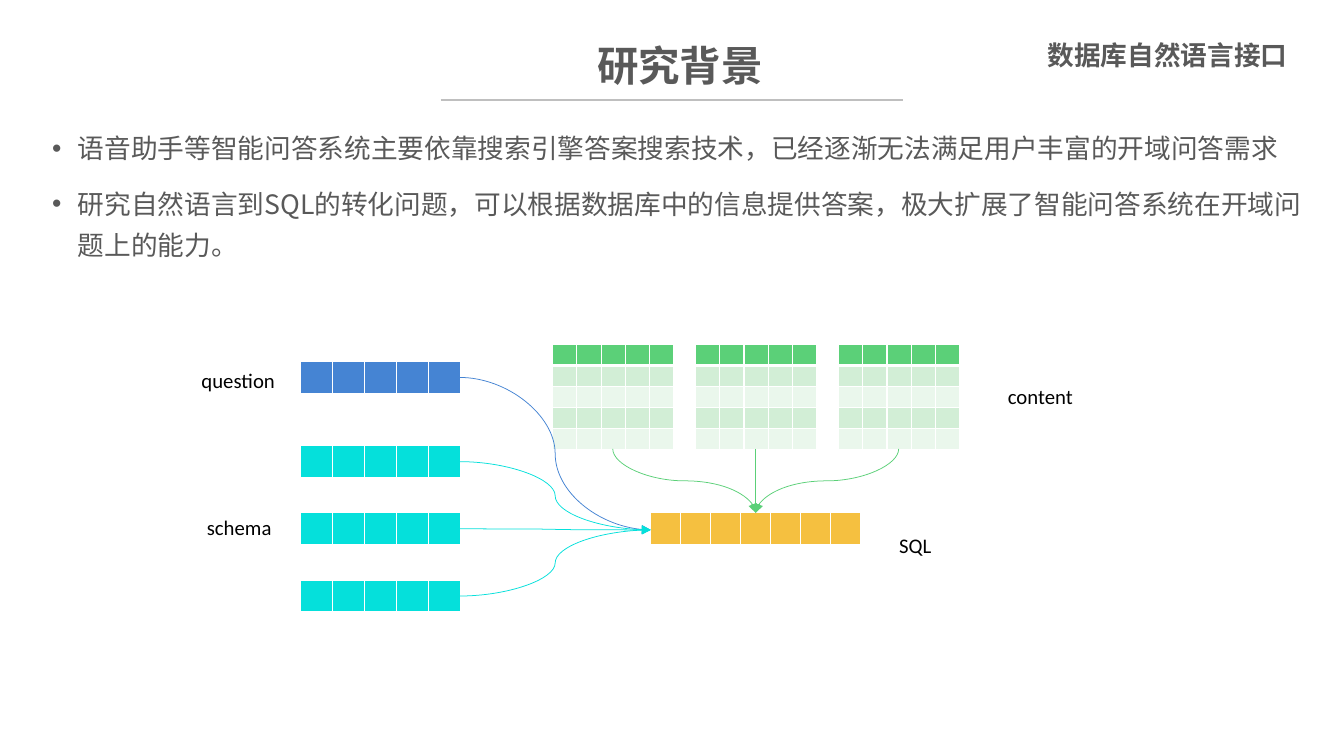
import dataclasses

import lxml.etree
import pptx
import pptx.dml.color
import pptx.enum.shapes
import pptx.enum.text
import pptx.oxml.ns
import pptx.util

PX = 9144
qn = pptx.oxml.ns.qn


@dataclasses.dataclass(frozen=True)
class Theme:
    heading_font: str = "Noto Sans CJK SC"
    label_font: str = "Calibri"
    title_size: int = 28
    body_size: int = 18
    label_size: int = 14
    cell_size: int = 6
    ink: str = "595959"
    label_ink: str = "000000"
    rule: str = "BFBFBF"
    border: str = "FFFFFF"
    question: str = "4584D3"
    schema: str = "05E0DB"
    content: str = "5BD078"
    content_bands: tuple = ("D2EED6", "EAF7EC")
    sql: str = "F5C040"


THEME = Theme()


def px(*lengths):
    return [pptx.util.Emu(round(length * PX)) for length in lengths]


def rgb(colour):
    return pptx.dml.color.RGBColor.from_string(colour)


def add_text(page, box, lines, size, font=THEME.heading_font, colour=THEME.ink,
             bold=False, wrap=True, align=None):
    frame = page.shapes.add_textbox(*px(*box)).text_frame
    frame.word_wrap = wrap
    frame.text = "\n".join(lines)
    for para in frame.paragraphs:
        para.alignment = align
        for span in para.runs:
            span.font.size = pptx.util.Pt(size)
            span.font.bold = bold
            span.font.name = font
            span.font.color.rgb = rgb(colour)
            east_asian = lxml.etree.SubElement(span.font._element, qn("a:ea"))
            east_asian.set("typeface", font)
    return frame


def add_label(page, box, text):
    add_text(page, box, [text], THEME.label_size, THEME.label_font,
             THEME.label_ink, wrap=False)


def add_line(page, kind, start, end, colour, width):
    line = page.shapes.add_connector(kind, *px(*start, *end))
    line.line.color.rgb = rgb(colour)
    line.line.width = pptx.util.Pt(width)
    lxml.etree.SubElement(line.element.spPr, qn("a:effectLst"))
    return line


def add_curve(page, start, end, colour):
    kind = pptx.enum.shapes.MSO_CONNECTOR.CURVE
    curve = add_line(page, kind, start, end, colour, 0.5)
    outline = curve.element.spPr.find(qn("a:ln"))
    lxml.etree.SubElement(outline, qn("a:tailEnd")).set("type", "triangle")
    return curve


def add_falling_curve(page, start, end, colour):
    middle_x, middle_y = (start[0] + end[0]) / 2, (start[1] + end[1]) / 2
    half_drop, half_spread = (end[1] - start[1]) / 2, abs(end[0] - start[0]) / 2
    leftward = start[0] > end[0]
    side = -half_drop if leftward else half_drop
    curve = add_curve(page, (middle_x + side, middle_y - half_spread),
                      (middle_x - side, middle_y + half_spread), colour)
    turn = 90 if leftward else 270
    curve.element.spPr.find(qn("a:xfrm")).set("rot", str(turn * 60000))


def add_cells(page, box, columns, row_colours):
    frame = page.shapes.add_table(len(row_colours), columns, *px(*box))
    table = frame.table
    table.first_row = table.horz_banding = False
    for row, colour in enumerate(row_colours):
        for column in range(columns):
            cell = table.cell(row, column)
            cell.margin_left = cell.margin_right = 0
            cell.margin_top = cell.margin_bottom = 0
            cell.fill.solid()
            cell.fill.fore_color.rgb = rgb(colour)
    for index, cell in enumerate(frame.element.iter(qn("a:tc"))):
        para = cell.find(".//" + qn("a:p"))
        end = lxml.etree.SubElement(para, qn("a:endParaRPr"))
        end.set("sz", str(THEME.cell_size * 100))
        for place, side in enumerate("LRTB"):
            points = 3 if side == "B" and index < columns else 1
            edge = lxml.etree.Element(qn("a:ln" + side))
            edge.set("w", str(pptx.util.Pt(points)))
            fill = lxml.etree.SubElement(edge, qn("a:solidFill"))
            lxml.etree.SubElement(fill, qn("a:srgbClr")).set("val", THEME.border)
            cell.find(qn("a:tcPr")).insert(place, edge)


def build_header(page, box):
    left, top, width, height = box
    center = pptx.enum.text.PP_ALIGN.CENTER
    straight = pptx.enum.shapes.MSO_CONNECTOR.STRAIGHT
    add_line(page, straight, (left + 374, top + 70), (left + 808, top + 70),
             THEME.rule, 1.5)
    title = add_text(page, box, ["研究背景"], THEME.title_size, bold=True,
                     align=center)
    title.vertical_anchor = pptx.enum.text.MSO_ANCHOR.MIDDLE
    title.paragraphs[0].line_spacing = 0.9
    add_text(page, (left + 898, top + 8, 315, 40), ["数据库自然语言接口"],
             THEME.body_size, bold=True, align=center)


def build_points(page, box):
    points = [
        "语音助手等智能问答系统主要依靠搜索引擎答案搜索技术，已经逐渐无法满足用户丰富的开域问答需求",
        "研究自然语言到SQL的转化问题，可以根据数据库中的信息提供答案，极大扩展了智能问答系统在开域问题上的能力。",
    ]
    frame = add_text(page, box, points, THEME.body_size)
    for index, para in enumerate(frame.paragraphs):
        para.line_spacing = 1.3
        if index:
            para.space_before = pptx.util.Pt(9.5)
        settings = para._p.get_or_add_pPr()
        settings.set("marL", str(24 * PX))
        settings.set("indent", str(-24 * PX))
        lxml.etree.SubElement(settings, qn("a:buFont")).set("typeface", "Arial")
        lxml.etree.SubElement(settings, qn("a:buChar")).set("char", "•")


def build_diagram(page, box):
    left, top, width, height = box
    strip_left, strip_width, strip_height = left + 103, 150, 31
    sql_left, sql_top, sql_width = left + 431, top + 158, 197
    sql_entry = (sql_left, sql_top + 16)
    sql_crown = (sql_left + sql_width / 2, sql_top)

    strips = [(top + 16, THEME.question)]
    strips += [(top + 95 + 63 * step, THEME.schema) for step in range(3)]
    for strip_top, colour in strips:
        add_cells(page, (strip_left, strip_top, strip_width, strip_height), 5,
                  [colour])
    add_cells(page, (sql_left, sql_top, sql_width, strip_height), 7, [THEME.sql])

    grid_width, grid_height, grid_pitch = 114, 99, 134
    grid_colours = [THEME.content, *THEME.content_bands * 2]
    for step in range(3):
        grid_left = left + 339 + grid_pitch * step
        add_cells(page, (grid_left, top, grid_width, grid_height), 5, grid_colours)

    for strip_top, colour in strips:
        start = (strip_left + strip_width - 1, strip_top + 15)
        add_curve(page, start, sql_entry, colour)
    for step in (-1, 0, 1):
        start = (sql_crown[0] + grid_pitch * step, top + grid_height - 1)
        add_falling_curve(page, start, sql_crown, THEME.content)

    add_label(page, (left, top + 17, 90, 34), "question")
    add_label(page, (left + 5, top + 155, 81, 34), "schema")
    add_label(page, (left + 756, top + 32, 82, 34), "content")
    add_label(page, (left + 654, top + 172, 51, 34), "SQL")


def main():
    deck = pptx.Presentation()
    deck.slide_width, deck.slide_height = px(1260, 709)
    page = deck.slides.add_slide(deck.slide_layouts[6])
    build_header(page, (39, 24, 1197, 79))
    build_points(page, (39, 110, 1197, 528))
    build_diagram(page, (179, 323, 838, 252))
    deck.save("out.pptx")


if __name__ == "__main__":
    main()
